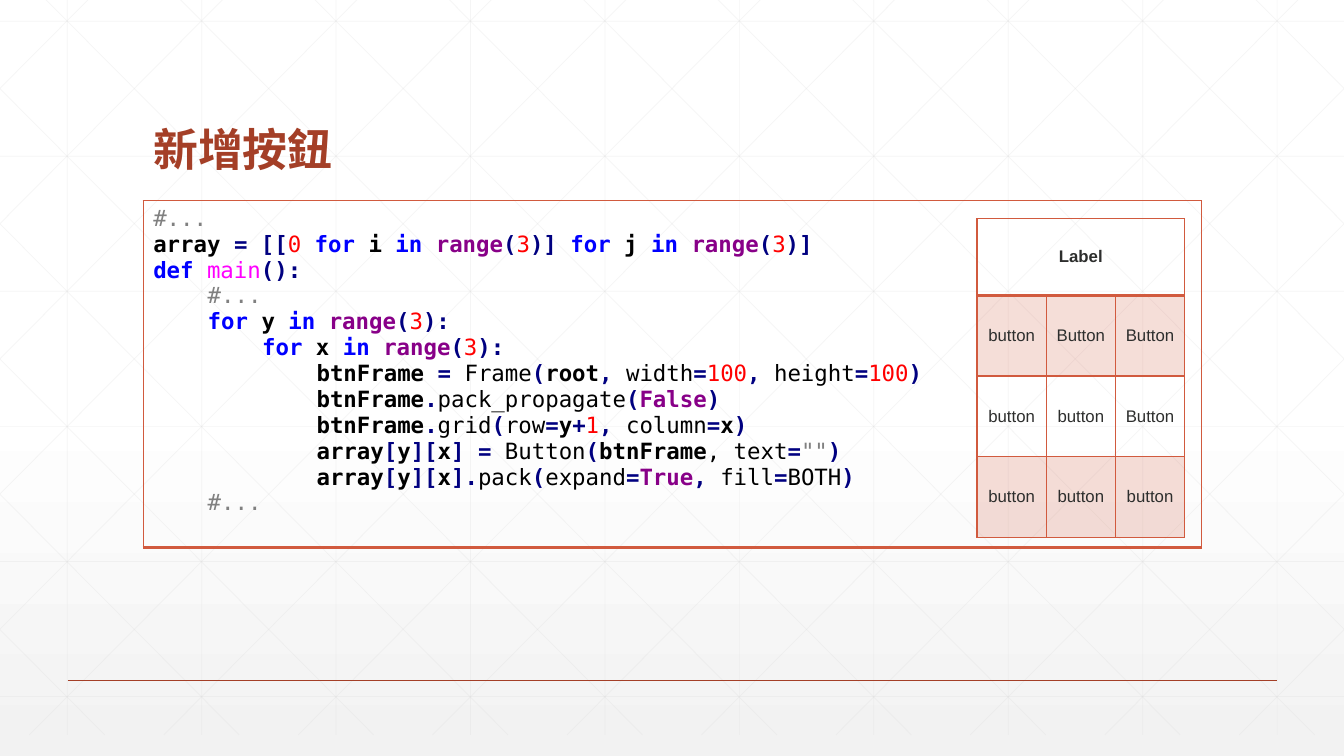
import pptx
import pptx.dml.color
import pptx.enum.shapes
import pptx.enum.text
import pptx.oxml
import pptx.oxml.ns
import pptx.util

Inches = pptx.util.Inches
Pt = pptx.util.Pt
RGBColor = pptx.dml.color.RGBColor
Anchor = pptx.enum.text.MSO_ANCHOR
Align = pptx.enum.text.PP_ALIGN

RUST = RGBColor(0xA4, 0x3F, 0x27)
CORAL = RGBColor(0xD1, 0x5A, 0x3E)
MESH = RGBColor(0xD9, 0xD9, 0xD9)
WHITE = RGBColor(0xFF, 0xFF, 0xFF)
MIST = RGBColor(0xF2, 0xF2, 0xF2)
INK = RGBColor(0x2D, 0x2E, 0x2D)
BLACK = RGBColor(0x00, 0x00, 0x00)
GREY = RGBColor(0x80, 0x80, 0x80)
NAVY = RGBColor(0x00, 0x00, 0x80)
RED = RGBColor(0xFF, 0x00, 0x00)
BLUE = RGBColor(0x00, 0x00, 0xFF)
PURPLE = RGBColor(0x88, 0x00, 0x88)
MAGENTA = RGBColor(0xFF, 0x00, 0xFF)

WIDTH, HEIGHT = 13.33, 7.5
INDENT = 0.54
SYNTAX = {
    "k": (BLUE, True), "n": (BLACK, True), "o": (NAVY, True), "b": (PURPLE, True),
    "d": (RED, False), "c": (GREY, False), "f": (MAGENTA, False), "t": (BLACK, False),
}
CODE = [
    (0, "c#..."),
    (0, "narray ~o= [[~d0 ~kfor ~ni ~kin ~brange~o(~d3~o)] ~kfor ~nj ~kin ~brange~o(~d3~o)]"),
    (0, "kdef ~fmain~o():"),
    (1, "c#..."),
    (1, "kfor ~ny ~kin ~brange~o(~d3~o):"),
    (2, "kfor ~nx ~kin ~brange~o(~d3~o):"),
    (3, "nbtnFrame ~o=~t Frame~o(~nroot~o,~t width~o=~d100~o,~t height~o=~d100~o)"),
    (3, "nbtnFrame~o.~tpack_propagate~o(~bFalse~o)"),
    (3, "nbtnFrame~o.~tgrid~o(~trow~o=~ny~o+~d1~o,~t column~o=~nx~o)"),
    (3, 'narray~o[~ny~o][~nx~o] =~t Button~o(~nbtnFrame~t, text~o=~c""~o)'),
    (3, "narray~o[~ny~o][~nx~o].~tpack~o(~texpand~o=~bTrue~o,~t fill~o=~tBOTH~o)"),
    (1, "c#..."),
]
BUTTONS = [
    ["Label", "", ""],
    ["button", "Button", "Button"],
    ["button", "button", "Button"],
    ["button", "button", "button"],
]


def set_values(target, values):
    """Set each named attribute of the target."""
    for name, value in values.items():
        setattr(target, name, value)


def add_span(para, text, color, **values):
    """Append a formatted run to a paragraph."""
    span = para.add_run()
    span.text = text
    set_values(span.font, values)
    span.font.color.rgb = color
    return span


def set_alpha(fill_owner, percent):
    """Make the solid colour below an element partly transparent."""
    color = fill_owner.find(".//" + pptx.oxml.ns.qn("a:srgbClr"))
    alpha = color.makeelement(pptx.oxml.ns.qn("a:alpha"), {"val": str(percent * 1000)})
    color.append(alpha)


def add_line(page, start, end, color, width, alpha=100):
    """Draw a straight line without shadow."""
    line = page.shapes.add_connector(
        pptx.enum.shapes.MSO_CONNECTOR.STRAIGHT, *map(Inches, start + end))
    line.line.color.rgb = color
    line.line.width = Pt(width)
    properties = line.element.spPr
    properties.append(properties.makeelement(pptx.oxml.ns.qn("a:effectLst"), {}))
    if alpha < 100:
        set_alpha(properties, alpha)


def set_borders(cell, **widths):
    """Give the named sides of a cell coral borders, one point by default."""
    properties = cell._tc.get_or_add_tcPr()
    for side in "LRTB":
        properties.append(pptx.oxml.parse_xml(
            f'<a:ln{side} {pptx.oxml.ns.nsdecls("a")} w="{Pt(widths.get(side, 1))}">'
            f'<a:solidFill><a:srgbClr val="{CORAL}"/></a:solidFill></a:ln{side}>'))


def add_plain_table(page, box, rows, columns):
    """Add a table without header or band styling."""
    table = page.shapes.add_table(rows, columns, *map(Inches, box)).table
    set_values(table, {"first_row": False, "horz_banding": False})
    return table


def add_backdrop(page, box):
    """Fill the page with a gradient and a mesh of faint lines."""
    left, top, width, height = box
    fill = page.background.fill
    fill.gradient()
    fill.gradient_angle = 270
    for stop, position, color in zip(fill.gradient_stops, (0.53, 1), (WHITE, MIST)):
        stop.position = position
        stop.color.rgb = color
    right, bottom, pitch, run = left + width, top + height, 4 / 3, 7.455
    lines = [((left + pitch * (i + 0.5), top), (left + pitch * (i + 0.5), bottom))
             for i in range(10)]
    lines += [((left, top + 0.42 + 1.34 * i), (right, top + 0.42 + 1.34 * i))
              for i in range(6)]
    for i in range(-5, 10):
        x = left + 0.25 + pitch * i
        ends = [(edge, top + (edge - x) * height / run)
                for edge in (max(x, left), min(x + run, right))]
        lines += [ends, [(left + right - across, down) for across, down in ends]]
    for start, end in lines:
        add_line(page, start, end, MESH, 0.5, 25)


def add_title(page, box, text):
    """Place and format the title above the backdrop."""
    title = page.shapes.title
    page.shapes.element.append(title.element)
    set_values(title, dict(zip(("left", "top", "width", "height"), map(Inches, box))))
    frame = title.text_frame
    set_values(frame, {"vertical_anchor": Anchor.BOTTOM, "word_wrap": True})
    para = frame.paragraphs[0]
    set_values(para, {"alignment": Align.LEFT, "line_spacing": 0.9})
    font = "Noto Sans CJK TC"
    span = add_span(para, text, RUST, size=Pt(32), bold=True, name=font)
    span.font._element.append(span.font._element.makeelement(
        pptx.oxml.ns.qn("a:ea"), {"typeface": font}))


def add_code(page, box):
    """Show the coloured program in a one-cell table."""
    cell = add_plain_table(page, box, 1, 1).cell(0, 0)
    set_borders(cell, B=2)
    cell.fill.background()
    frame = cell.text_frame
    for number, (level, line) in enumerate(CODE):
        para = frame.add_paragraph() if number else frame.paragraphs[0]
        para._p.get_or_add_pPr().set("marL", str(Inches(INDENT * level)))
        for token in line.split("~"):
            color, bold = SYNTAX[token[0]]
            add_span(para, token[1:], color, bold=bold, size=Pt(16),
                     name="DejaVu Sans Mono")


def add_button_grid(page, box):
    """Show the label above a three by three grid of buttons."""
    table = add_plain_table(page, box, len(BUTTONS), 3)
    for row, height in zip(table.rows, (0.76, 0.8, 0.8, 0.8)):
        row.height = Inches(height)
    table.cell(0, 0).merge(table.cell(0, 2))
    for r, texts in enumerate(BUTTONS):
        for c, text in enumerate(texts):
            cell = table.cell(r, c)
            set_borders(cell, B=2 if r == 0 else 1, T=2 if r == 1 else 1)
            set_values(cell, {"vertical_anchor": Anchor.MIDDLE,
                              "margin_left": Inches(0.05), "margin_right": Inches(0.05)})
            if r % 2:
                cell.fill.solid()
                cell.fill.fore_color.rgb = CORAL
                set_alpha(cell._tc.tcPr.find(pptx.oxml.ns.qn("a:solidFill")), 20)
            else:
                cell.fill.background()
            if text:
                para = cell.text_frame.paragraphs[0]
                para.alignment = Align.CENTER
                add_span(para, text, INK, size=Pt(12), bold=r == 0, name="Arial")


def main():
    """Build the slide and save the deck."""
    deck = pptx.Presentation()
    set_values(deck, {"slide_width": Inches(WIDTH), "slide_height": Inches(HEIGHT)})
    page = deck.slides.add_slide(deck.slide_layouts[5])
    add_backdrop(page, (0, -0.21, WIDTH, HEIGHT))
    add_line(page, (0.67, 6.75), (12.67, 6.75), RUST, 1)
    add_title(page, (1.42, 0.55, 10.5, 1.25), "新增按鈕")
    add_code(page, (1.42, 1.99, 10.5, 3.44))
    add_button_grid(page, (9.69, 2.17, 2.06, 3.16))
    deck.save("out.pptx")


main()
